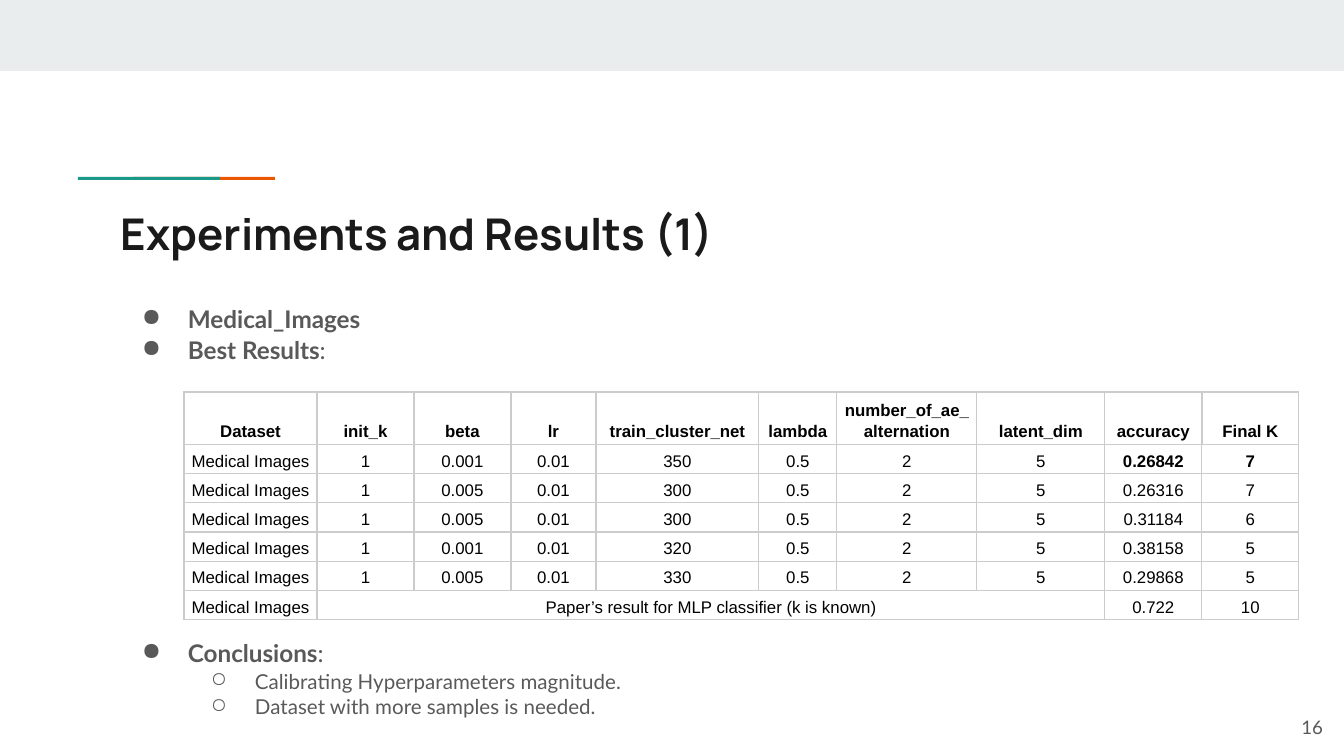
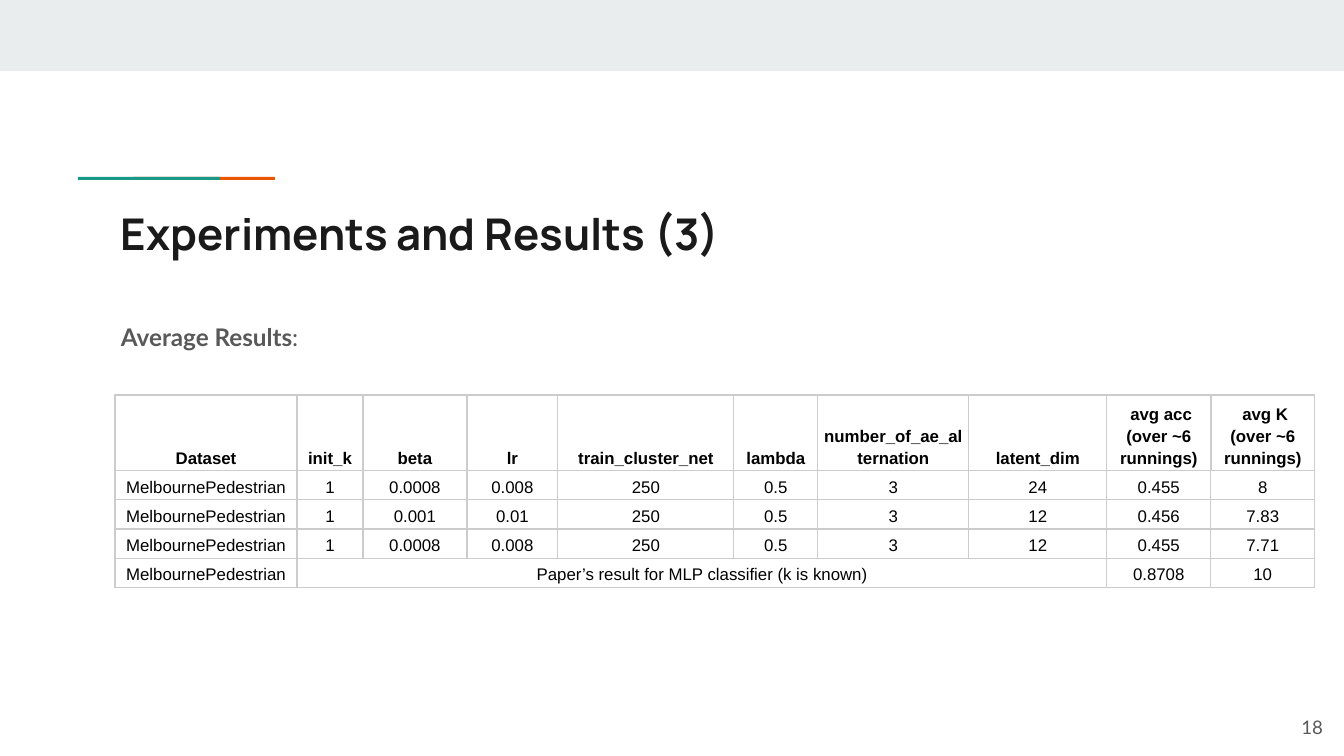
import pptx
import pptx.util
import pptx.dml.color
import pptx.enum.shapes
import pptx.enum.text
import pptx.oxml
import pptx.oxml.ns

SLIDE_W, SLIDE_H = 1344, 756
EMU_PER_PX = 9144000 / SLIDE_W

COLORS = {
    "band": "E9EDEE",
    "teal": "1A9988",
    "orange": "EB5600",
    "title": "1A1A1A",
    "body": "595959",
    "cell": "000000",
    "border": "CCCCCC",
}
BAND_H = 71
RULES = [("orange", 133), ("teal", 78)]
RULE_TOP, RULE_W, RULE_H = 177, 142, 3
TITLE_BOX = (108, 194, 1130, 79)
NUMBER_BOX = (1255, 698, 81, 58)
BOX_INSETS = (13, 13, 13, 13)
CELL_INSETS = (4, 3, 4, 3)
BULLETS = {0: ("●", 67, -46), 1: ("○", 134, -44)}
HEADER_H, ROW_H = 51, 28

PARAMETERS = ["Dataset", "init_k", "beta", "lr", "train_cluster_net", "lambda",
              "number_of_ae_alternation", "latent_dim"]
PAPER = "Paper’s result for MLP classifier (k is known)"

SLIDES = [
    {
        "title": "Experiments and Results (1)",
        "number": "16",
        "body_box": (108, 290, 1130, 456),
        "line_spacing": 1.05,
        "body": [
            {"bold": "Medical_Images", "level": 0},
            {"bold": "Best Results", "plain": ":", "level": 0},
            {"bold": "Conclusions", "plain": ":", "level": 0, "before": 146},
            {"plain": "Calibrating Hyperparameters magnitude.", "level": 1, "size": 11},
            {"plain": "Dataset with more samples is needed.", "level": 1, "size": 11},
        ],
        "table_at": (184, 392),
        "columns": [133, 97, 97, 85, 163, 78, 140, 128, 97, 97],
        "measures": ["accuracy", "Final K"],
        "dataset": "Medical Images",
        "runs": [
            ("1", "0.001", "0.01", "350", "0.5", "2", "5", "0.26842", "7"),
            ("1", "0.005", "0.01", "300", "0.5", "2", "5", "0.26316", "7"),
            ("1", "0.005", "0.01", "300", "0.5", "2", "5", "0.31184", "6"),
            ("1", "0.001", "0.01", "320", "0.5", "2", "5", "0.38158", "5"),
            ("1", "0.005", "0.01", "330", "0.5", "2", "5", "0.29868", "5"),
        ],
        "paper": ("0.722", "10"),
        "best_run": 1,
    },
    {
        "title": "Experiments and Results (3)",
        "number": "18",
        "body_box": (108, 305, 1130, 451),
        "line_spacing": 1.15,
        "body": [{"bold": "Average Results", "plain": ":"}],
        "table_at": (115, 395),
        "columns": [182, 66, 104, 91, 176, 84, 151, 138, 104, 104],
        "measures": [" avg acc (over ~6 runnings)", " avg K (over ~6 runnings)"],
        "dataset": "MelbournePedestrian",
        "runs": [
            ("1", "0.0008", "0.008", "250", "0.5", "3", "24", "0.455", "8"),
            ("1", "0.001", "0.01", "250", "0.5", "3", "12", "0.456", "7.83"),
            ("1", "0.0008", "0.008", "250", "0.5", "3", "12", "0.455", "7.71"),
        ],
        "paper": ("0.8708", "10"),
        "best_run": None,
    },
]


def px(length):
    return pptx.util.Emu(round(length * EMU_PER_PX))


def rgb(name):
    return pptx.dml.color.RGBColor.from_string(COLORS[name])


def add_xml(parent, tag, content="", **attributes):
    listed = "".join(f' {key}="{value}"' for key, value in attributes.items())
    namespace = pptx.oxml.ns.nsdecls("a")
    parent.append(pptx.oxml.parse_xml(f"<a:{tag} {namespace}{listed}>{content}</a:{tag}>"))


def style_run(run, font, size, color, bold=False):
    run.font.name = font
    run.font.size = pptx.util.Pt(size)
    run.font.bold = bold
    run.font.color.rgb = rgb(color)


def set_insets(holder, insets):
    (holder.margin_left, holder.margin_top,
     holder.margin_right, holder.margin_bottom) = map(px, insets)


def add_bar(slide, color, *box):
    bar = slide.shapes.add_shape(pptx.enum.shapes.MSO_SHAPE.RECTANGLE, *map(px, box))
    bar.shadow.inherit = False
    bar.fill.solid()
    bar.fill.fore_color.rgb = rgb(color)
    bar.line.fill.background()


def add_frame(slide, box):
    frame = slide.shapes.add_textbox(*map(px, box)).text_frame
    frame.word_wrap = True
    set_insets(frame, BOX_INSETS)
    return frame


def add_title(slide, title):
    frame = add_frame(slide, TITLE_BOX)
    frame.text = title
    style_run(frame.paragraphs[0].runs[0], "Manrope", 23.4, "title", True)


def add_number(slide, number):
    frame = add_frame(slide, NUMBER_BOX)
    frame.vertical_anchor = pptx.enum.text.MSO_ANCHOR.MIDDLE
    frame.text = number
    frame.paragraphs[0].alignment = pptx.enum.text.PP_ALIGN.RIGHT
    style_run(frame.paragraphs[0].runs[0], "Lato", 10, "body")


def add_bullet(paragraph, level):
    sign, margin, indent = BULLETS[level]
    paragraph.level = level
    properties = paragraph._p.get_or_add_pPr()
    properties.set("marL", str(px(margin)))
    properties.set("indent", str(px(indent)))
    add_xml(properties, "buClr", f'<a:srgbClr val="{COLORS["body"]}"/>')
    add_xml(properties, "buChar", char=sign)


def add_body(slide, content):
    frame = add_frame(slide, content["body_box"])
    for index, line in enumerate(content["body"]):
        paragraph = frame.add_paragraph() if index else frame.paragraphs[0]
        paragraph.line_spacing = content["line_spacing"]
        paragraph.space_before = pptx.util.Pt(line.get("before", 0))
        for weight in ("bold", "plain"):
            if weight in line:
                run = paragraph.add_run()
                run.text = line[weight]
                style_run(run, "Lato", line.get("size", 13), "body", weight == "bold")
        if "level" in line:
            add_bullet(paragraph, line["level"])


def set_cell(cell, text, bold, thick_side):
    set_insets(cell, CELL_INSETS)
    cell.vertical_anchor = pptx.enum.text.MSO_ANCHOR.BOTTOM
    for side in "LRTB":
        width = pptx.util.Pt(1.5 if side == thick_side else 0.75)
        add_xml(cell._tc.get_or_add_tcPr(), f"ln{side}",
                f'<a:solidFill><a:srgbClr val="{COLORS["border"]}"/></a:solidFill>', w=width)
    cell.fill.background()
    if text:
        cell.text = text
        paragraph = cell.text_frame.paragraphs[0]
        paragraph.alignment = pptx.enum.text.PP_ALIGN.CENTER
        paragraph.line_spacing = 1.15
        style_run(paragraph.runs[0], "Arial", 9, "cell", bold)


def add_results(slide, content):
    dataset = content["dataset"]
    spanned = len(PARAMETERS) - 1
    rows = [PARAMETERS + content["measures"]]
    rows += [[dataset, *run] for run in content["runs"]]
    rows.append([dataset, PAPER] + [""] * (spanned - 1) + list(content["paper"]))
    columns = content["columns"]
    heights = [HEADER_H] + [ROW_H] * (len(rows) - 1)
    box = (*content["table_at"], sum(columns), sum(heights))
    results = slide.shapes.add_table(len(rows), len(columns), *map(px, box)).table
    results.first_row = results.horz_banding = False
    for column, width in zip(results.columns, columns):
        column.width = px(width)
    for row, height in zip(results.rows, heights):
        row.height = px(height)
    accuracy, final_k = len(columns) - 2, len(columns) - 1
    for r, row in enumerate(rows):
        for c, text in enumerate(row):
            bold = r == 0 or (r == content["best_run"] and c >= accuracy)
            thick_side = {accuracy: "R", final_k: "L"}.get(c) if r == 0 else None
            set_cell(results.cell(r, c), text, bold, thick_side)
    last = len(rows) - 1
    results.cell(last, 1).merge(results.cell(last, spanned))


def main():
    deck = pptx.Presentation()
    deck.slide_width, deck.slide_height = px(SLIDE_W), px(SLIDE_H)
    for content in SLIDES:
        slide = deck.slides.add_slide(deck.slide_layouts[6])
        add_bar(slide, "band", 0, 0, SLIDE_W, BAND_H)
        for color, left in RULES:
            add_bar(slide, color, left, RULE_TOP, RULE_W, RULE_H)
        add_title(slide, content["title"])
        add_body(slide, content)
        add_number(slide, content["number"])
        add_results(slide, content)
    deck.save("out.pptx")


if __name__ == "__main__":
    main()
